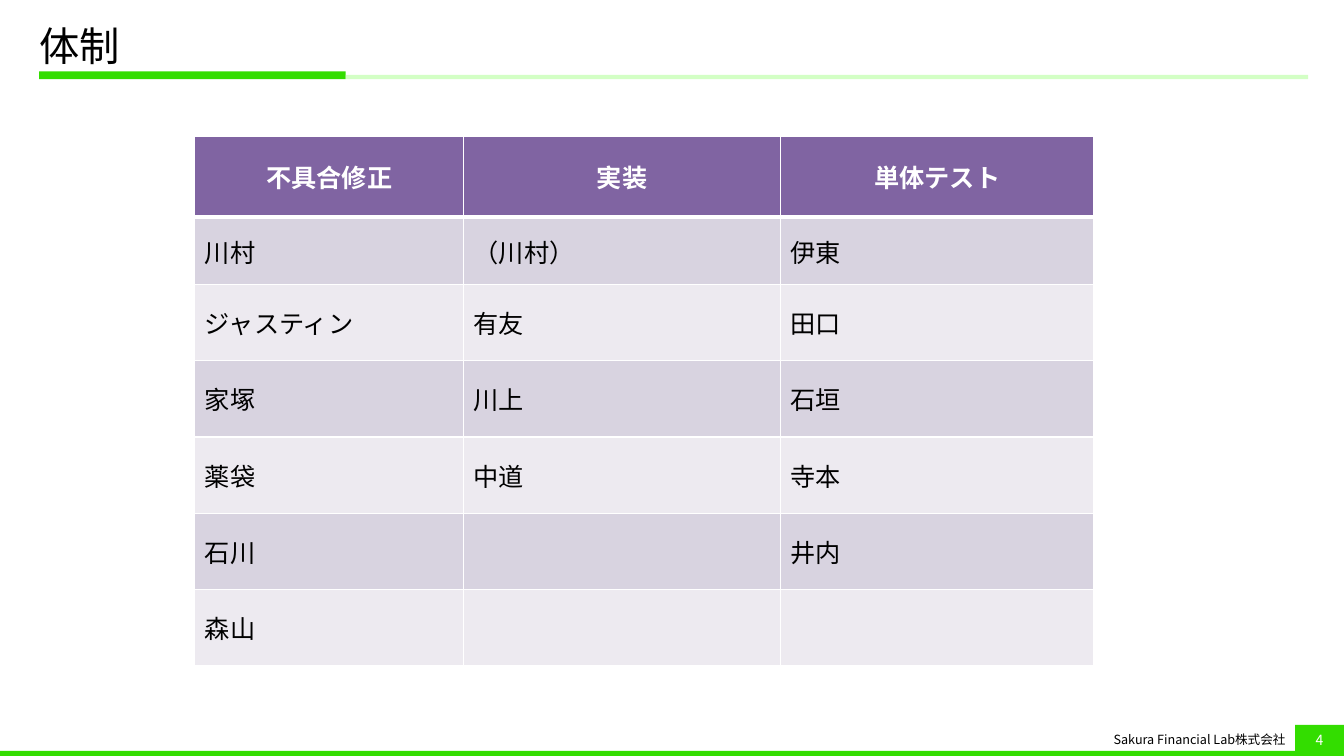
from dataclasses import dataclass

from lxml.etree import SubElement as Sub
from pptx import Presentation
from pptx.dml.color import RGBColor as Rgb
from pptx.enum.shapes import MSO_SHAPE as Shape
from pptx.enum.text import MSO_ANCHOR as Anchor, MSO_AUTO_SIZE as Fit, PP_ALIGN as Align
from pptx.oxml.ns import qn
from pptx.util import Pt


@dataclass(frozen=True)
class Theme:
    font: str = "Noto Sans CJK JP"
    green: str = "33DD00"
    pale: str = "D3FFC5"
    head: str = "8064A2"
    bands: tuple = ("D8D3E0", "EDEAF0")
    black: str = "000000"
    white: str = "FFFFFF"
    title: float = 28.8
    body: float = 18
    page: float = 10
    foot: float = 9


class Deck:
    def __init__(self, theme):
        self.theme = theme
        self.file = Presentation()
        self.file.slide_width, self.file.slide_height = Pt(960), Pt(540)
        self.slide = self.file.slides.add_slide(self.file.slide_layouts[5])

    def text(self, frame, words, size, color, align=Align.LEFT, bold=False):
        frame.text = words
        para = frame.paragraphs[0]
        para.alignment = align
        for run in para.runs:
            font = run.font
            font.size, font.bold, font.name = Pt(size), bold, self.theme.font
            font.color.rgb = Rgb.from_string(color)
            Sub(font._element, qn("a:ea"), typeface=self.theme.font)
        return para

    def title(self, words, *box):
        shape = self.slide.shapes.title
        shape.left, shape.top, shape.width, shape.height = map(Pt, box)
        frame = shape.text_frame
        frame.auto_size, frame.vertical_anchor = Fit.NONE, Anchor.MIDDLE
        frame.margin_left, frame.margin_right = 0, Pt(11.5)
        para = self.text(frame, words, self.theme.title, self.theme.black)
        para.line_spacing = 0.9

    def rect(self, color, *box):
        shape = self.slide.shapes.add_shape(Shape.RECTANGLE, *map(Pt, box))
        shape.shadow.inherit = False
        shape.fill.solid()
        shape.fill.fore_color.rgb = Rgb.from_string(color)
        shape.line.fill.background()
        return shape

    def badge(self, words, *box):
        frame = self.rect(self.theme.green, *box).text_frame
        frame.vertical_anchor = Anchor.MIDDLE
        self.text(frame, words, self.theme.page, self.theme.white, Align.CENTER)

    def label(self, words, *box):
        frame = self.slide.shapes.add_textbox(*map(Pt, box)).text_frame
        frame.word_wrap, frame.vertical_anchor = True, Anchor.MIDDLE
        self.text(frame, words, self.theme.foot, self.theme.black, Align.RIGHT)

    def edges(self, cell, **widths):
        # Border lines come before the fill in the cell properties
        props = cell._tc.get_or_add_tcPr()
        for side in "LRTB":
            line = Sub(props, qn(f"a:ln{side}"), w=str(Pt(widths.get(side, 1))))
            fill = Sub(line, qn("a:solidFill"))
            Sub(fill, qn("a:srgbClr"), val=self.theme.white)

    def table(self, rows, left, top, widths, heights):
        box = map(Pt, (left, top, sum(widths), sum(heights)))
        grid = self.slide.shapes.add_table(len(rows), len(widths), *box).table
        for col, width in zip(grid.columns, widths):
            col.width = Pt(width)
        for i, (row, height) in enumerate(zip(rows, heights)):
            grid.rows[i].height = Pt(height)
            for j, words in enumerate(row):
                self.cell(grid.cell(i, j), words, i)

    def cell(self, cell, words, row):
        look = self.theme
        head = row == 0
        self.edges(cell, B=3 if head else 1, T=3 if row == 1 else 1)
        cell.fill.solid()
        fill = look.head if head else look.bands[(row - 1) % 2]
        cell.fill.fore_color.rgb = Rgb.from_string(fill)
        cell.vertical_anchor = Anchor.MIDDLE
        color = look.white if head else look.black
        align = Align.CENTER if head else Align.LEFT
        self.text(cell.text_frame, words, look.body, color, align, head)


def main():
    look = Theme()
    deck = Deck(look)

    # Title and its two-part rule
    deck.title("体制", 28, 14.4, 906.5, 40.3)
    deck.rect(look.green, 28, 51, 219, 5.6)
    deck.rect(look.pale, 247, 53.5, 687.5, 3.1)

    # Footer
    deck.rect(look.green, 0, 536.4, 960, 3.6)
    deck.label("Sakura Financial Lab株式会社", 782, 518.4, 143.3, 19.4)
    deck.badge("4", 925.2, 517.7, 34.8, 22.3)

    # Team by task
    rows = [
        ("不具合修正", "実装", "単体テスト"),
        ("川村", "（川村）", "伊東"),
        ("ジャスティン", "有友", "田口"),
        ("家塚", "川上", "石垣"),
        ("薬袋", "中道", "寺本"),
        ("石川", "", "井内"),
        ("森山", "", ""),
    ]
    deck.table(rows, 139.2, 97.2, (192, 226.3, 224), [58, 48.2] + [54.4] * 5)

    deck.file.save("out.pptx")


if __name__ == "__main__":
    main()
